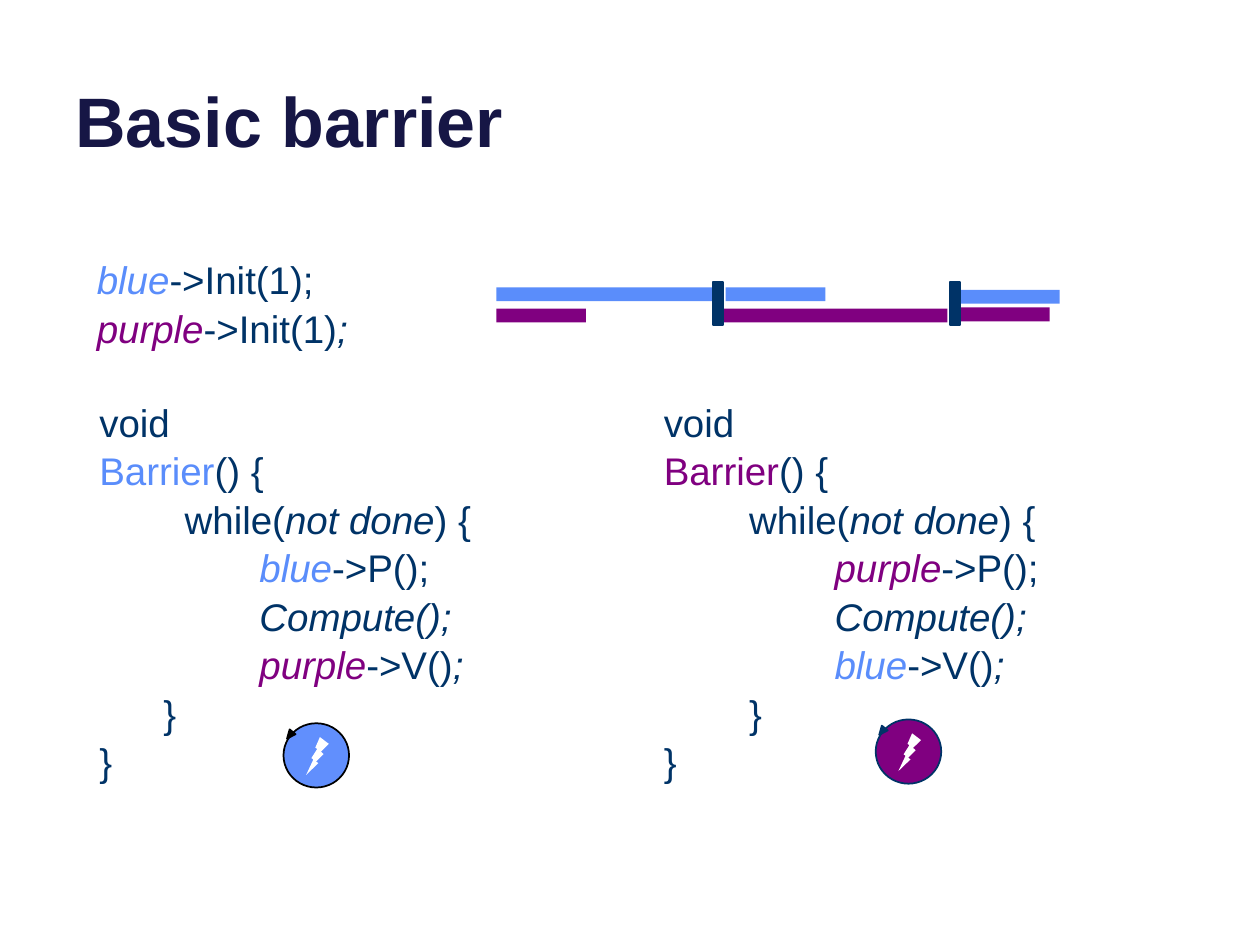
from typing import NamedTuple

from pptx import Presentation
from pptx import util as u
from pptx.dml.color import RGBColor
from pptx.enum import shapes, text

NAVY, BLUE, PURPLE = "003367", "5A8DFB", "800080"
TITLE, WHITE, BLACK, BADGE_BLUE = "161645", "FFFFFF", "000000", "618FFD"


class Piece(NamedTuple):
    words: str
    color: str = NAVY
    italic: bool = False
    bold: bool = False


class Box(NamedTuple):
    left: float
    top: float
    width: float
    height: float

    def lengths(self) -> list[u.Length]:
        return [u.Inches(value) for value in self]


class Bar(NamedTuple):
    left: float
    top: float
    width: float
    color: str


class Thread(NamedTuple):
    """One thread: its semaphore, the one it signals, and its badge."""
    left: float
    own: Piece
    other: Piece
    indent: int
    brace_indent: int
    badge_left: float
    badge_top: float
    badge_fill: str
    badge_line: str


BLUE_NAME = Piece("blue", BLUE, True)
PURPLE_NAME = Piece("purple", PURPLE, True)

THREADS = [
    Thread(0.69, BLUE_NAME, PURPLE_NAME, 15, 6, 2.25, 5.74, BADGE_BLUE, BLACK),
    Thread(5.17, PURPLE_NAME, BLUE_NAME, 16, 8, 6.95, 5.71, PURPLE, NAVY),
]
BARS = [
    Bar(3.94, 2.28, 1.72, BLUE),
    Bar(5.76, 2.28, 0.79, BLUE),
    Bar(5.74, 2.45, 1.78, PURPLE),
    Bar(7.62, 2.3, 0.79, BLUE),
    Bar(3.94, 2.45, 0.71, PURPLE),
    Bar(7.62, 2.44, 0.71, PURPLE),
]
BARRIER_LEFTS = [5.66, 7.54]


def rgb(color: str) -> RGBColor:
    return RGBColor.from_string(color)


def add_text(slide, box: Box, lines: list[list[Piece]], size: float = 22,
             anchor=text.MSO_ANCHOR.TOP, wrap: bool = True, spacing: float = 1.05) -> None:
    frame = slide.shapes.add_textbox(*box.lengths()).text_frame
    frame.word_wrap = wrap
    frame.vertical_anchor = anchor
    for index, pieces in enumerate(lines):
        paragraph = frame.paragraphs[0] if index == 0 else frame.add_paragraph()
        paragraph.line_spacing = spacing
        paragraph.font.name = "Arial"
        paragraph.font.size = u.Pt(size)
        for piece in pieces:
            run = paragraph.add_run()
            run.text = piece.words
            run.font.color.rgb = rgb(piece.color)
            run.font.italic = piece.italic
            run.font.bold = piece.bold


def add_shape(parent, kind, box: Box, fill: str, line: str | None = None):
    shape = parent.shapes.add_shape(kind, *box.lengths())
    shape.shadow.inherit = False
    shape.fill.solid()
    shape.fill.fore_color.rgb = rgb(fill)
    if line:
        shape.line.color.rgb = rgb(line)
        shape.line.width = u.Pt(1)
    else:
        shape.line.fill.background()
    return shape


def add_badge(slide, thread: Thread) -> None:
    """Draw a circling arrow around a lightning bolt."""
    group = slide.shapes.add_group_shape()
    left, top = thread.badge_left, thread.badge_top
    kinds = shapes.MSO_SHAPE
    add_shape(group, kinds.OVAL, Box(left, top, 0.52, 0.51),
              thread.badge_fill, thread.badge_line)
    bolt = add_shape(group, kinds.LIGHTNING_BOLT,
                     Box(left + 0.18, top + 0.11, 0.18, 0.3), WHITE)
    bolt.element.spPr.xfrm.set("flipH", "1")
    arrowhead = add_shape(group, kinds.ISOSCELES_TRIANGLE,
                          Box(left + 0.02, top + 0.06, 0.06, 0.07),
                          thread.badge_line, thread.badge_line)
    arrowhead.rotation = 219


def add_thread(slide, thread: Thread) -> None:
    indent = Piece(" " * thread.indent)
    add_text(slide, Box(thread.left, 3.1, 4, 3.06), [
        [Piece("void")],
        [Piece("Barrier", thread.own.color), Piece("() {")],
        [Piece(" " * 8 + "while("), Piece("not done", italic=True), Piece(") {")],
        [indent, thread.own, Piece("->P();")],
        [indent, Piece("Compute();", italic=True)],
        [indent, thread.other, Piece("->V()"), Piece(";", italic=True)],
        [Piece(" " * thread.brace_indent + "}")],
        [Piece("}")],
    ])
    add_badge(slide, thread)


def main() -> None:
    presentation = Presentation()
    presentation.slide_width, presentation.slide_height = u.Inches(10), u.Inches(7.5)
    slide = presentation.slides.add_slide(presentation.slide_layouts[6])

    add_text(slide, Box(0.5, -0.37, 9, 1.7), [[Piece("Basic barrier", TITLE, bold=True)]],
             size=40, anchor=text.MSO_ANCHOR.BOTTOM, spacing=1.0)
    add_text(slide, Box(0.67, 1.98, 2.29, 0.84), [
        [BLUE_NAME, Piece("->Init(1);")],
        [PURPLE_NAME, Piece("->Init(1)"), Piece(";", italic=True)],
    ], anchor=text.MSO_ANCHOR.MIDDLE, wrap=False)
    for thread in THREADS:
        add_thread(slide, thread)

    rectangle = shapes.MSO_SHAPE.RECTANGLE
    for bar in BARS:
        add_shape(slide, rectangle, Box(bar.left, bar.top, bar.width, 0.11), bar.color)
    for left in BARRIER_LEFTS:
        add_shape(slide, rectangle, Box(left, 2.24, 0.08, 0.34), NAVY, NAVY)

    presentation.save("out.pptx")


if __name__ == "__main__":
    main()
